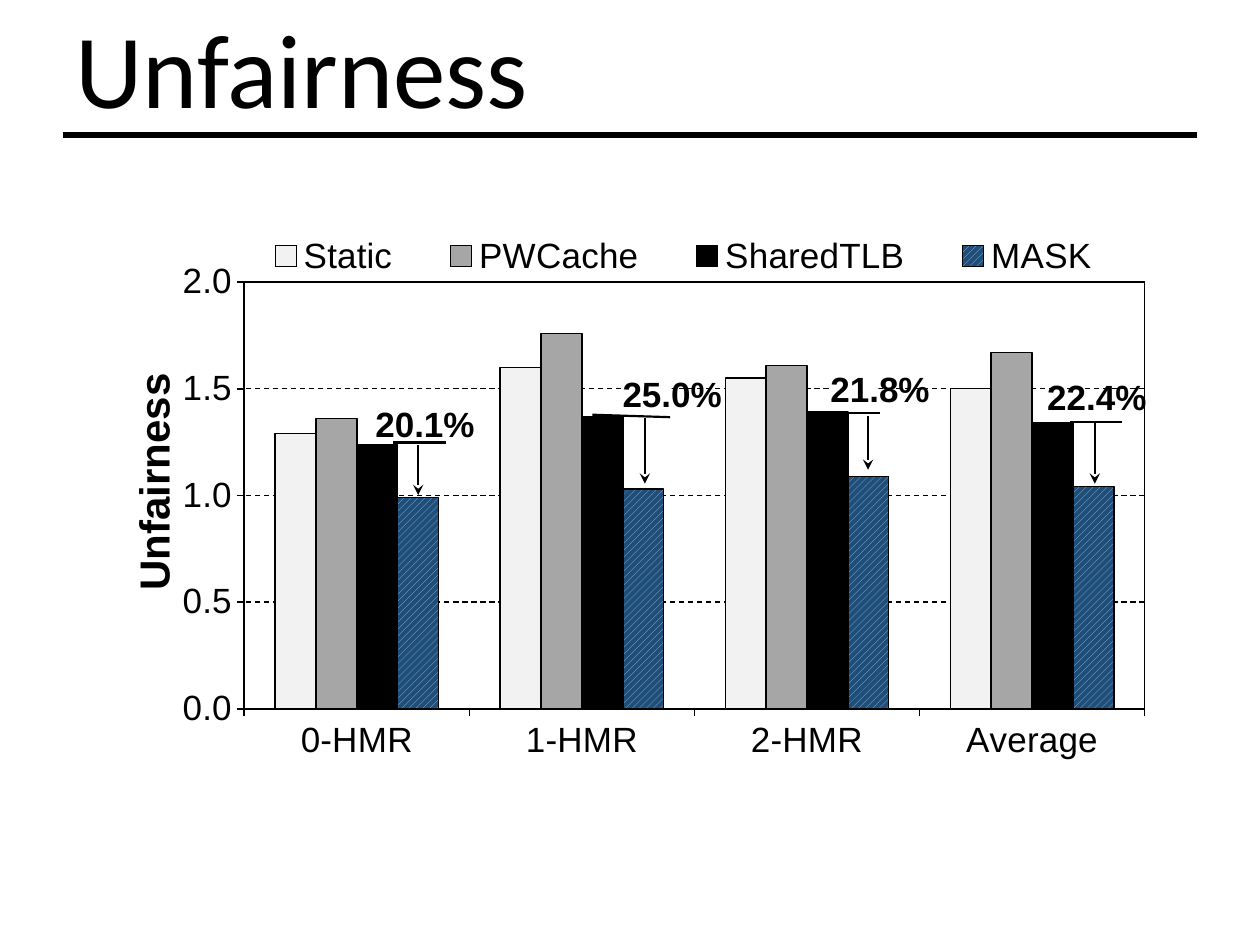
import pptx
import pptx.chart.data
import pptx.dml.color
import pptx.enum.chart
import pptx.enum.dml
import pptx.enum.shapes
import pptx.enum.text
import pptx.oxml
import pptx.oxml.ns
import pptx.util
from pptx.util import Cm

BLACK = "000000"
qn = pptx.oxml.ns.qn


def color(value):
    return pptx.dml.color.RGBColor.from_string(value)


def set_layout(parent, index, **settings):
    """Give a chart part a manual layout as fractions of the chart."""
    for old in parent.findall(qn("c:layout")):
        parent.remove(old)
    items = "".join(f'<c:{name} val="{value}"/>' for name, value in settings.items())
    parent.insert(index, pptx.oxml.parse_xml(
        f'<c:layout {pptx.oxml.ns.nsdecls("c")}><c:manualLayout>{items}'
        "</c:manualLayout></c:layout>"))


deck = pptx.Presentation()
deck.slide_width, deck.slide_height = Cm(25.4), Cm(19.05)
page = deck.slides.add_slide(deck.slide_layouts[5])

# Title
title = page.shapes.title
title.left, title.top, title.width, title.height = Cm(1.27), Cm(0.36), Cm(22.86), Cm(2.36)
title.text_frame.auto_size = pptx.enum.text.MSO_AUTO_SIZE.NONE
title.text_frame.vertical_anchor = pptx.enum.text.MSO_ANCHOR.BOTTOM
para = title.text_frame.paragraphs[0]
para.alignment = pptx.enum.text.PP_ALIGN.LEFT
para.line_spacing = 0.8
span = para.add_run()
span.text = "Unfairness"
span.font.name, span.font.size = "Calibri", pptx.util.Pt(60)
span.font.color.rgb = color(BLACK)

# Chart data
data = pptx.chart.data.CategoryChartData(number_format="0.00")
data.categories = ["0-HMR", "1-HMR", "2-HMR", "Average"]
data.add_series("Static", (1.29, 1.6, 1.55, 1.5))
data.add_series("PWCache", (1.36, 1.76, 1.61, 1.67))
data.add_series("SharedTLB", (1.24, 1.37, 1.39, 1.34))
data.add_series("MASK", (0.99, 1.03, 1.09, 1.04))
chart = page.shapes.add_chart(
    pptx.enum.chart.XL_CHART_TYPE.COLUMN_CLUSTERED,
    Cm(2.08), Cm(3.78), Cm(21.08), Cm(12.62), data).chart
chart.has_title = False
chart.font.name, chart.font.size = "Arial", pptx.util.Pt(20)
chart.font.color.rgb = color(BLACK)

# Columns
plot = chart.plots[0]
plot.gap_width, plot.overlap, plot.vary_by_categories = 150, 0, False
for series, shade in zip(plot.series, ("F2F2F2", "A6A6A6", BLACK, None)):
    fill = series.format.fill
    if shade:
        fill.solid()
        fill.fore_color.rgb = color(shade)
    else:
        fill.patterned()
        fill.pattern = pptx.enum.dml.MSO_PATTERN.WIDE_UPWARD_DIAGONAL
        fill.fore_color.rgb = color("9DC3E6")
        fill.back_color.rgb = color("1F4E79")
    series.format.line.color.rgb = color(BLACK)
    series.format.line.width = pptx.util.Pt(0.75)

# Axes
for axis in (chart.category_axis, chart.value_axis):
    axis.major_tick_mark = pptx.enum.chart.XL_TICK_MARK.OUTSIDE
    axis.minor_tick_mark = pptx.enum.chart.XL_TICK_MARK.NONE
    axis.format.line.color.rgb = color(BLACK)
    axis.format.line.width = pptx.util.Pt(1)
    axis.tick_labels.font.name = "Arial"
    axis.tick_labels.font.size = pptx.util.Pt(20)
values = chart.value_axis
values.minimum_scale, values.maximum_scale, values.major_unit = 0, 2, 0.5
values.tick_labels.number_format = "#,##0.0"
values.tick_labels.number_format_is_linked = False
grid = values.major_gridlines.format.line
grid.color.rgb = color(BLACK)
grid.width = pptx.util.Pt(0.75)
grid.dash_style = pptx.enum.dml.MSO_LINE.DASH
span = values.axis_title.text_frame.paragraphs[0].add_run()
span.text = "Unfairness"
span.font.name, span.font.size, span.font.bold = "Arial", pptx.util.Pt(24), True
span.font.color.rgb = color(BLACK)
set_layout(values.axis_title._element, 1, xMode="edge", yMode="edge", x=0.015, y=0.285)

# Legend
chart.has_legend = True
chart.legend.position = pptx.enum.chart.XL_LEGEND_POSITION.RIGHT
chart.legend.include_in_layout = False
chart.legend.font.name, chart.legend.font.size = "Arial", pptx.util.Pt(20)
set_layout(chart.legend._element, 1, xMode="edge", yMode="edge", x=0.12, y=0.07, w=0.87, h=0.08)

# Plot frame
area = chart._chartSpace.chart.plotArea
set_layout(area, 0, layoutTarget="inner", xMode="edge", yMode="edge",
           x=0.135, y=0.151, w=0.861, h=0.682)
area.append(pptx.oxml.parse_xml(
    f'<c:spPr {pptx.oxml.ns.nsdecls("c", "a")}><a:noFill/><a:ln w="12700"><a:solidFill>'
    f'<a:srgbClr val="{BLACK}"/></a:solidFill></a:ln></c:spPr>'))

# Reduction labels: text, box, arrow (x, top, bottom), bar level (from, to)
reductions = [
    ("20.1%", (8.15, 8.43, 0.84, 0.23), (8.43, 8.97, 9.98), (7.92, 8.92, 8.99, 8.92)),
    ("25.0%", (12.55, 7.8, 0.99, 0.28), (13, 8.43, 9.75), (11.94, 8.36, 13.51, 8.41)),
    ("21.8%", (16.74, 7.7, 0.97, 0.28), (17.5, 8.38, 9.47), (16.69, 8.33, 17.73, 8.33)),
    ("22.4%", (21.11, 7.87, 0.97, 0.23), (22.07, 8.51, 9.75), (21.56, 8.51, 22.61, 8.51)),
]
lines = [((1.27, 2.72, 24.13, 2.72), 3, False)]  # rule under the title
for text, place, (x, top, bottom), level in reductions:
    box = page.shapes.add_shape(pptx.enum.shapes.MSO_SHAPE.RECTANGLE, *map(Cm, place))
    box.shadow.inherit = False
    box.fill.solid()
    box.fill.fore_color.rgb = color("FFFFFF")
    box.line.fill.background()
    frame = box.text_frame
    frame.word_wrap = False
    frame.vertical_anchor = pptx.enum.text.MSO_ANCHOR.MIDDLE
    frame.margin_left = frame.margin_right = frame.margin_top = frame.margin_bottom = 0
    para = frame.paragraphs[0]
    centered = text == "20.1%"
    para.alignment = pptx.enum.text.PP_ALIGN.CENTER if centered else pptx.enum.text.PP_ALIGN.LEFT
    span = para.add_run()
    span.text = text
    span.font.name, span.font.size, span.font.bold = "Arial", pptx.util.Pt(20), True
    span.font.color.rgb = color(BLACK)
    lines += [((x, top, x, bottom), 1.25, True), (level, 1.25, False)]

# Lines and arrows
for ends, weight, arrow in lines:
    line = page.shapes.add_connector(
        pptx.enum.shapes.MSO_CONNECTOR.STRAIGHT, *map(Cm, ends))
    line.line.color.rgb = color(BLACK)
    line.line.width = pptx.util.Pt(weight)
    if arrow:
        head = pptx.oxml.parse_xml(f'<a:tailEnd {pptx.oxml.ns.nsdecls("a")} type="stealth"/>')
        line.line._get_or_add_ln().append(head)
    line._element.spPr.append(
        pptx.oxml.parse_xml(f'<a:effectLst {pptx.oxml.ns.nsdecls("a")}/>'))

deck.save("out.pptx")
